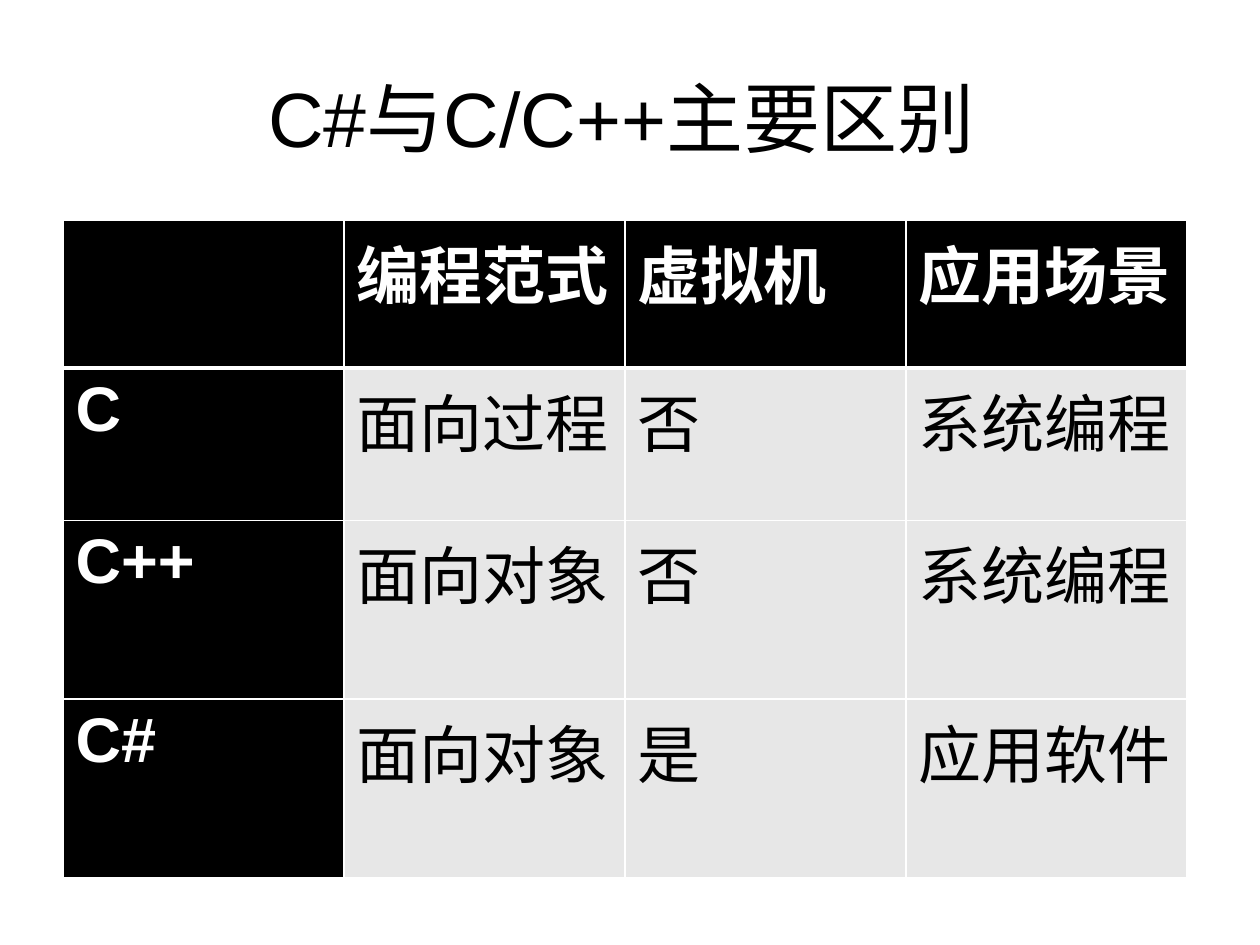
from lxml import etree
from pptx import Presentation
from pptx import util as u
from pptx.dml.color import RGBColor
from pptx.enum import text
from pptx.oxml.ns import qn


def rgb(value):
    return RGBColor.from_string(value)


class Deck:
    """Style and current slide, with a method for each kind of element."""

    FONT = "Arial"
    BLACK, WHITE, GREY = "000000", "FFFFFF", "E7E7E7"

    def __init__(self, prs):
        self.s = prs.slides.add_slide(prs.slide_layouts[6])

    def style(self, p, size, color, bold=False):
        for r in p.runs:
            r.font.name = self.FONT
            r.font.size = u.Pt(size)
            r.font.bold = bold
            r.font.color.rgb = rgb(color)

    def title(self, words, x, y, w, h):
        sp = self.s.shapes.add_textbox(*map(u.Inches, (x, y, w, h)))
        tf = sp.text_frame
        tf.word_wrap = True
        tf.vertical_anchor = text.MSO_ANCHOR.MIDDLE
        tf.text = words
        p = tf.paragraphs[0]
        p.alignment = text.PP_ALIGN.CENTER
        self.style(p, 44, self.BLACK)

    def border(self, cell, side, width):
        tcPr = cell._tc.get_or_add_tcPr()
        ln = etree.SubElement(tcPr, qn("a:ln" + side), w=str(u.Pt(width)))
        fill = etree.SubElement(ln, qn("a:solidFill"))
        etree.SubElement(fill, qn("a:srgbClr"), val=self.WHITE)

    def table(self, rows, x, y, col_width, heights):
        cols = len(rows[0])
        size = (x, y, col_width * cols, sum(heights))
        tbl = self.s.shapes.add_table(len(rows), cols, *map(u.Inches, size)).table
        for col in tbl.columns:
            col.width = u.Inches(col_width)
        for i, row in enumerate(rows):
            tbl.rows[i].height = u.Inches(heights[i])
            for j, words in enumerate(row):
                cell = tbl.cell(i, j)
                heading = i == 0 or j == 0
                for side in "LRTB":
                    thick = (i, side) in ((0, "B"), (1, "T"))
                    self.border(cell, side, 3 if thick else 1)
                cell.fill.solid()
                cell.fill.fore_color.rgb = rgb(self.BLACK if heading else self.GREY)
                cell.text_frame.text = words
                color = self.WHITE if heading else self.BLACK
                self.style(cell.text_frame.paragraphs[0], 36, color, heading)


prs = Presentation()
prs.slide_width, prs.slide_height = u.Inches(10), u.Inches(7.5)
deck = Deck(prs)
deck.title("C#与C/C++主要区别 ", 0.5, 0.3, 9, 1.25)
languages = [
    ["", "编程范式", "虚拟机", "应用场景"],
    ["C", "面向过程", "否", "系统编程"],
    ["C++", "面向对象", "否", "系统编程"],
    ["C#", "面向对象", "是", "应用软件"],
]
deck.table(languages, 0.5, 1.75, 2.23, [1.17, 1.21, 1.42, 1.42])
prs.save("out.pptx")
